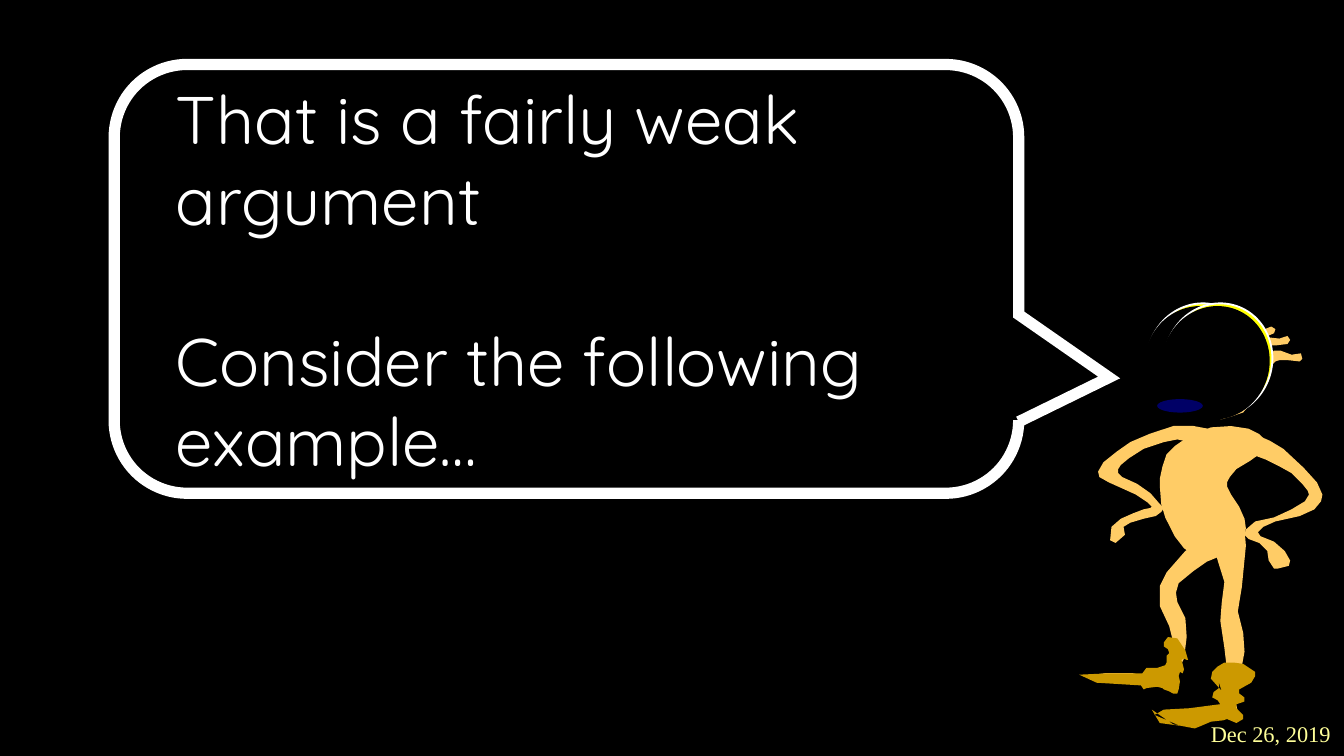
from dataclasses import dataclass

from lxml.etree import SubElement
from pptx import Presentation
from pptx.dml.color import RGBColor
from pptx.enum.shapes import MSO_SHAPE
from pptx.enum.text import MSO_ANCHOR, PP_ALIGN
from pptx.oxml.ns import qn
from pptx.util import Inches, Pt

COLUMNS = 1000
CELL = Inches(0.01)
SLIDE_WIDTH = COLUMNS * CELL
SLIDE_HEIGHT = SLIDE_WIDTH * 9 // 16


@dataclass(frozen=True)
class Theme:
    background: str = "000000"
    white: str = "FFFFFF"
    skin: str = "FFCC66"
    boot: str = "CC9900"
    rim: str = "FFFF00"
    mouth: str = "000066"
    date: str = "FFFF99"
    speech_font: str = "Quicksand"
    date_font: str = "Times New Roman"
    speech_size: int = 36
    date_size: int = 12
    bubble_line: int = 6
    rim_line: int = 1


@dataclass(frozen=True)
class Area:
    """A rectangle in grid columns and rows."""
    column: float
    row: float
    width: float
    height: float

    def lengths(self) -> list[int]:
        return [round(value * CELL)
                for value in (self.column, self.row, self.width, self.height)]


@dataclass(frozen=True)
class Outline:
    """A filled polygon; its points are 'column,row' pairs on the grid."""
    color: str
    points: str


@dataclass(frozen=True)
class Oval:
    area: Area
    fill: str
    line: str | None = None
    rotation: float = 0


THEME = Theme()

TORSO = Outline(THEME.skin, """
    865,347 868,338 874,332 884,325 901,318 916,317 929,319 937,323 941,327 941,332
    937,338 930,343 920,349 915,355 913,359 913,362 916,368 922,377 926,386 927,393
    926,400 923,406 915,412 908,414 899,415 892,415 887,412 881,408 874,399 867,385
    864,375 863,362 863,356""")
RIGHT_ARM = Outline(THEME.skin, """
    927,335 923,331 921,329 924,325 928,324 936,324 945,328 955,334 970,348 980,359
    984,368 983,373 978,379 967,384 949,388 940,392 936,396 938,399 948,403 956,410
    960,417 959,421 951,423 948,423 944,417 943,410 937,404 929,401 926,398 927,394
    934,388 948,385 961,379 971,373 974,368 973,365 969,360 961,352 952,347 942,342
    934,339""")
LEFT_ARM = Outline(THEME.skin, """
    855,323 873,317 888,317 904,320 909,323 906,327 902,333 894,332 886,331 881,328
    876,327 866,329 851,334 840,341 834,346 832,349 832,352 835,355 846,360 856,367
    862,374 866,378 864,381 860,384 851,386 841,389 836,392 837,398 830,404 826,402
    827,392 834,386 843,382 851,379 856,378 857,377 854,374 845,368 834,363 825,359
    818,355 817,351 821,344 831,336 841,329 848,326""")
RIGHT_LEG = Outline(THEME.skin, """
    902,403 903,394 911,391 921,391 926,394 927,406 924,437 921,455 925,471 926,485
    923,501 919,520 921,530 916,532 887,535 880,536 869,532 869,530 900,529 911,526
    912,519 913,499 911,482 908,462 909,449 911,433 906,417""")
LEFT_LEG = Outline(THEME.skin, """
    863,442 863,436 868,426 882,410 904,396 918,396 923,402 915,411 898,418 888,425
    877,434 875,441 876,448 882,460 883,474 881,490 875,502 865,510 858,510 836,506
    816,506 809,503 822,501 843,501 856,504 863,502 872,492 873,478 870,466 863,451""")
HEAD = Outline(THEME.skin, """
    882,279 881,270 883,261 893,256 905,255 914,256 922,259 926,266 932,278 933,291
    930,301 925,307 916,310 909,312 898,310 892,304 887,296 883,287 874,291 865,293
    862,293 861,291 863,288 876,284""")
HAIR = [Outline(THEME.skin, points) for points in (
    """925,275 922,273 922,269 926,264 931,263 937,265 944,264 948,261 953,261 961,264
    968,263 969,267 967,269 958,268 952,268 949,269 945,273 939,272 936,271 933,272
    930,274""",
    """920,270 917,269 914,264 917,259 921,257 929,257 934,256 937,252 943,251 952,252
    958,250 960,253 958,256 950,257 945,257 942,260 939,264 933,264 930,264 926,265
    925,267""",
    """916,267 912,266 908,262 910,257 912,254 919,254 925,252 927,248 932,246 941,245
    946,243 949,245 948,248 941,251 936,252 934,254 932,259 926,260 922,259 920,261
    919,265""",
    """910,264 906,265 900,262 898,257 899,254 906,251 910,248 910,244 913,241 921,238
    925,235 929,236 930,238 925,243 920,245 920,249 921,253 915,255 913,256 911,258
    911,261""")]
RIGHT_BOOT = Outline(THEME.boot, """
    901,505 902,500 906,496 911,493 918,493 925,494 934,500 934,503 931,508 922,513
    922,516 926,519 926,522 923,523 920,524 920,527 925,532 925,535 920,538 913,535
    910,536 901,537 894,540 889,542 873,539 857,528 863,538 878,540 859,532 866,528
    885,527 900,525 908,524 906,521 902,519 903,515 907,512 907,509 905,502 909,514""")
LEFT_BOOT = Outline(THEME.boot, """
    869,474 876,475 882,484 884,491 883,491 881,490 879,491 880,494 881,498 880,501
    878,500 877,503 878,507 877,513 876,516 873,516 869,514 866,513 865,512 861,511
    853,512 851,513 849,510 816,508 803,502 825,501 838,501 850,501 853,497 861,497
    864,496 867,495 868,493 868,490 868,488 870,486 869,483 866,481 866,478""")

EYE_TILT = 288.6
EYES = [Oval(Area(column + shift, 228 - shift, 85, 80), fill, line, EYE_TILT)
        for column in (851, 864)
        for shift, fill, line in ((0, THEME.rim, THEME.white),
                                  (-2, THEME.background, None))]
MOUTH = Oval(Area(861, 297, 34, 10), THEME.mouth)

FIGURE = [TORSO, RIGHT_ARM, LEFT_ARM, RIGHT_LEG, LEFT_LEG, HEAD, *HAIR,
          *EYES, MOUTH, RIGHT_BOOT, LEFT_BOOT]


def paint(shape, fill: str | None, line: str | None = None, width: float = 1) -> None:
    shape.shadow.inherit = False
    if fill:
        shape.fill.solid()
        shape.fill.fore_color.rgb = RGBColor.from_string(fill)
    else:
        shape.fill.background()
    if line:
        shape.line.color.rgb = RGBColor.from_string(line)
        shape.line.width = Pt(width)
        SubElement(shape.line._get_or_add_ln(), qn("a:miter"), lim="800000")
    else:
        shape.line.fill.background()


def write(frame, *texts: str, font: str, size: float, color: str,
          align=PP_ALIGN.LEFT, anchor=MSO_ANCHOR.MIDDLE, gap: float = 0,
          side_inset: float = 0.1) -> None:
    """Fill a text frame with one paragraph per text, gap points apart."""
    frame.word_wrap = True
    frame.vertical_anchor = anchor
    frame.margin_left = frame.margin_right = Inches(side_inset)
    frame.margin_top = frame.margin_bottom = Inches(0.05)
    for index, text in enumerate(texts):
        para = frame.paragraphs[0] if index == 0 else frame.add_paragraph()
        para.alignment = align
        if index:
            para.space_before = Pt(gap)
        span = para.add_run()
        span.text = text
        span.font.name = font
        span.font.size = Pt(size)
        span.font.color.rgb = RGBColor.from_string(color)


def draw_outline(shapes, outline: Outline) -> None:
    points = [tuple(int(value) for value in pair.split(","))
              for pair in outline.points.split()]
    builder = shapes.build_freeform(*points[0], scale=CELL)
    builder.add_line_segments(points[1:], close=True)
    paint(builder.convert_to_shape(), outline.color)


def draw_oval(shapes, oval: Oval) -> None:
    shape = shapes.add_shape(MSO_SHAPE.OVAL, *oval.area.lengths())
    shape.rotation = oval.rotation
    paint(shape, oval.fill, oval.line, THEME.rim_line)


def draw_bubble(shapes) -> None:
    bubble = shapes.add_shape(MSO_SHAPE.ROUNDED_RECTANGULAR_CALLOUT,
                              *Area(85, 48, 673, 319).lengths())
    for index, value in enumerate((0.6, 0.23, 0.17)):
        bubble.adjustments[index] = value
    paint(bubble, None, THEME.white, THEME.bubble_line)
    write(bubble.text_frame, "That is a fairly weak argument",
          "Consider the following example…", font=THEME.speech_font,
          size=THEME.speech_size, color=THEME.white,
          gap=1.2 * THEME.speech_size, side_inset=0.3)


def main() -> None:
    deck = Presentation()
    deck.slide_width, deck.slide_height = SLIDE_WIDTH, SLIDE_HEIGHT
    page = deck.slides.add_slide(deck.slide_layouts[6])
    page.background.fill.solid()
    page.background.fill.fore_color.rgb = RGBColor.from_string(THEME.background)
    draw_bubble(page.shapes)
    figure = page.shapes.add_group_shape()
    for part in FIGURE:
        draw = draw_oval if isinstance(part, Oval) else draw_outline
        draw(figure.shapes, part)
    date_box = page.shapes.add_textbox(*Area(792, 538, 208, 23).lengths())
    write(date_box.text_frame, "Dec 26, 2019", font=THEME.date_font,
          size=THEME.date_size, color=THEME.date, align=PP_ALIGN.RIGHT,
          anchor=MSO_ANCHOR.BOTTOM)
    deck.save("out.pptx")


if __name__ == "__main__":
    main()
